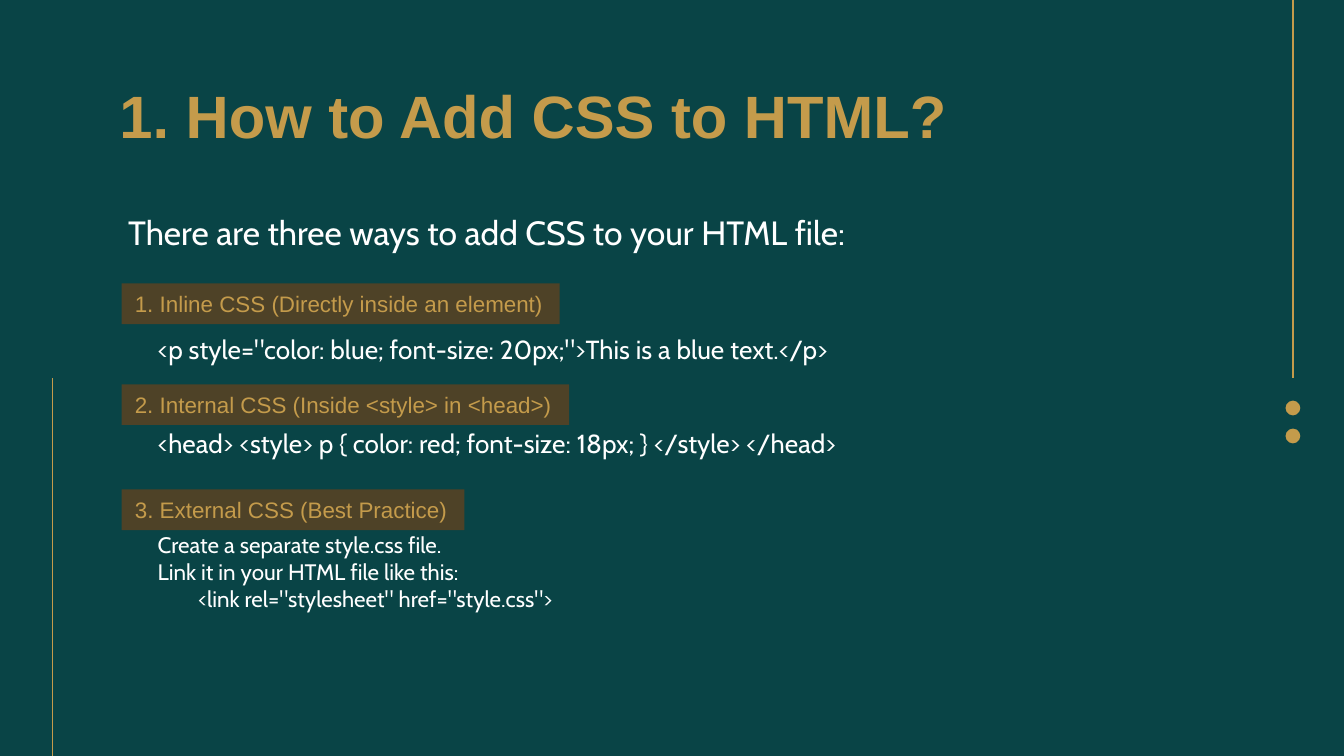
from dataclasses import dataclass

from lxml.etree import SubElement
from pptx import Presentation
from pptx.dml.color import RGBColor
from pptx.enum.shapes import MSO_CONNECTOR, MSO_SHAPE
from pptx.enum.text import MSO_ANCHOR, PP_ALIGN
from pptx.oxml.ns import qn
from pptx.util import Inches, Pt

TEAL = RGBColor(0x09, 0x44, 0x46)
GOLD = RGBColor(0xC4, 0x9B, 0x4B)
BROWN = RGBColor(0x4E, 0x42, 0x27)
WHITE = RGBColor(0xFF, 0xFF, 0xFF)
W = Inches(10)
H = W * 9 // 16


@dataclass
class Line:
    text: str
    size: int
    before: float = 0
    indent: float = 0


@dataclass
class Label:
    text: str
    y: float
    w: float


@dataclass
class Rule:
    x: float
    y1: float
    y2: float


BODY = [
    Line("There are three ways to add CSS to your HTML file:", 18),
    Line('<p style="color: blue; font-size: 20px;">This is a blue text.</p>', 14, 43.5, 2.2),
    Line("<head> <style> p { color: red; font-size: 18px; } </style> </head>", 14, 33.5, 2.2),
    Line("Create a separate style.css file.", 12, 38.5, 2.2),
    Line("Link it in your HTML file like this:", 12, 0, 2.2),
    Line('<link rel="stylesheet" href="style.css">', 12, 0, 5.2),
]
LABELS = [
    Label("1. Inline CSS (Directly inside an element)", 37.5, 32.6),
    Label("2. Internal CSS (Inside <style> in <head>)", 50.84, 33.3),
    Label("3. External CSS (Best Practice)", 64.75, 25.5),
]
RULES = [Rule(3.9, 100, 50), Rule(96.2, 50, 0)]
DOT_TOPS = [53, 56.7]


def across(share: float) -> int:
    return round(W * share / 100)


def down(share: float) -> int:
    return round(H * share / 100)


def box(x: float, y: float, w: float, h: float) -> tuple[int, int, int, int]:
    return across(x), down(y), across(w), down(h)


def add_run(p, text: str, font: str, size: int, color: RGBColor, bold: bool = False) -> None:
    r = p.add_run()
    r.text = text
    r.font.name = font
    r.font.size = Pt(size)
    r.font.bold = bold
    r.font.color.rgb = color


def add_rule(s, rule: Rule) -> None:
    x = across(rule.x)
    line = s.shapes.add_connector(MSO_CONNECTOR.STRAIGHT, x, down(rule.y1), x, down(rule.y2))
    line.line.color.rgb = GOLD
    line.line.width = Pt(0.75)
    SubElement(line._element.spPr, qn("a:effectLst"))


def add_filled(shapes, kind: MSO_SHAPE, bounds: tuple[int, int, int, int], color: RGBColor):
    sp = shapes.add_shape(kind, *bounds)
    sp.shadow.inherit = False
    sp.fill.solid()
    sp.fill.fore_color.rgb = color
    sp.line.fill.background()
    return sp


def add_label(s, label: Label) -> None:
    sp = add_filled(s.shapes, MSO_SHAPE.RECTANGLE, box(9.05, label.y, label.w, 5.38), BROWN)
    tf = sp.text_frame
    tf.word_wrap = False
    tf.vertical_anchor = MSO_ANCHOR.MIDDLE
    p = tf.paragraphs[0]
    p.alignment = PP_ALIGN.LEFT
    add_run(p, label.text, "Arial", 12, GOLD)


def add_title(s, text: str) -> None:
    tf = s.shapes.add_textbox(*box(7.9, 8.71, 84.3, 11.2)).text_frame
    tf.word_wrap = True
    tf.margin_top = tf.margin_bottom = Inches(0.1)
    add_run(tf.paragraphs[0], text, "Arial", 32, GOLD, True)


def add_body(s, lines: list[Line]) -> None:
    tf = s.shapes.add_textbox(*box(8.55, 27.2, 61.3, 62.2)).text_frame
    tf.word_wrap = True
    for i, line in enumerate(lines):
        p = tf.add_paragraph() if i else tf.paragraphs[0]
        if line.before:
            p.space_before = Pt(line.before)
        if line.indent:
            p._p.get_or_add_pPr().set("marL", str(across(line.indent)))
        add_run(p, line.text, "Cabin", line.size, WHITE)


def main() -> None:
    prs = Presentation()
    prs.slide_width, prs.slide_height = W, H
    s = prs.slides.add_slide(prs.slide_layouts[6])
    s.background.fill.solid()
    s.background.fill.fore_color.rgb = TEAL
    for rule in RULES:
        add_rule(s, rule)
    dots = s.shapes.add_group_shape()
    for y in DOT_TOPS:
        add_filled(dots.shapes, MSO_SHAPE.OVAL, box(95.65, y, 1.1, 1.96), GOLD)
    add_title(s, "1. How to Add CSS to HTML?")
    add_body(s, BODY)
    for label in LABELS:
        add_label(s, label)
    prs.save("out.pptx")


if __name__ == "__main__":
    main()
